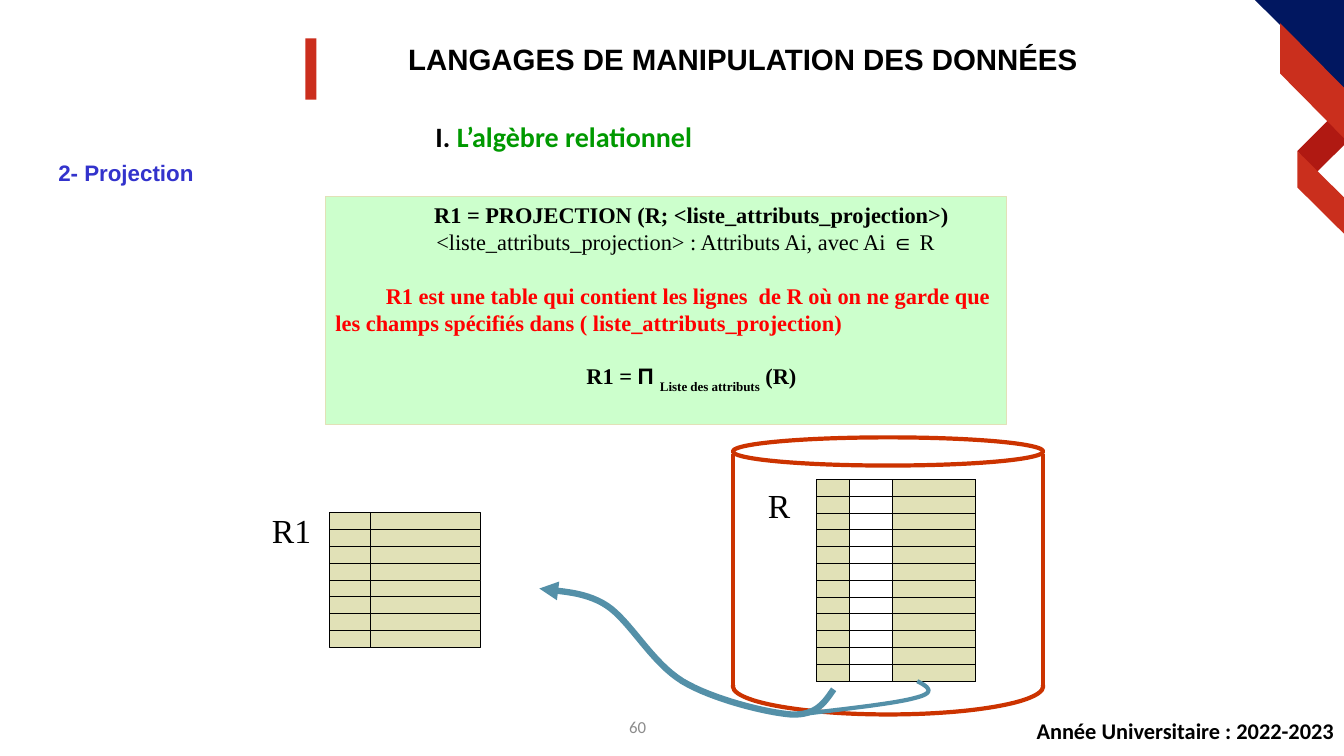
from itertools import accumulate

from lxml.etree import SubElement
from pptx import Presentation
from pptx.dml.color import RGBColor
from pptx.enum.shapes import MSO_CONNECTOR, MSO_SHAPE
from pptx.enum.text import MSO_ANCHOR, PP_ALIGN
from pptx.oxml.ns import qn
from pptx.util import Inches, Pt

COLUMNS = 80
SLIDE_WIDTH = Inches(13.33)
SLIDE_HEIGHT = Inches(7.5)
BLACK, WHITE, RED = "000000", "FFFFFF", "CA2F1D"
OLIVE, RUST, TEAL = "E1E1B7", "CC3300", "5490A8"
SERIF = "Times New Roman"
CURVE_STEPS = 16

RIBBONS = [
    ("B01912", [(79.14, 7.08), (80, 8.1), (80, 8.64), (78.3, 10.32), (77.22, 9)]),
    ("011760", [(74.7, 0), (80, 0), (80, 5.28)]),
    (RED, [(77.22, 9), (80, 11.76), (80, 13.92), (77.22, 11.16)]),
    (RED, [(76.2, 1.38), (80, 5.22), (80, 8.22), (76.2, 4.38)]),
]
ARROW_CURVE = [
    (49.62, 41.04), (49.08, 41.82), (48.6, 42.6), (47.1, 42.54),
    (45.6, 42.42), (42.42, 41.64), (40.62, 40.56),
    (38.76, 39.42), (37.5, 36.96), (36.12, 36.06),
    (34.68, 35.1), (32.76, 35.22), (32.1, 35.04),
]
BRANCH_CURVE = [
    (54.6, 40.56), (55.2, 40.86), (55.74, 41.22), (54.6, 41.52),
    (53.4, 41.88), (50.52, 42.18), (47.58, 42.54),
]


def grid(cells):
    return round(cells * SLIDE_WIDTH / COLUMNS)


def color(hex_value):
    return RGBColor.from_string(hex_value)


def paint(shape, fill=None, line=None, width=0.75):
    shape.shadow.inherit = False
    if fill:
        shape.fill.solid()
        shape.fill.fore_color.rgb = color(fill)
    else:
        shape.fill.background()
    if line:
        shape.line.color.rgb = color(line)
        shape.line.width = Pt(width)
    else:
        shape.line.fill.background()
    return shape


def add_box(slide, box, kind=MSO_SHAPE.RECTANGLE, **style):
    return paint(slide.shapes.add_shape(kind, *map(grid, box)), **style)


def add_line(slide, x, top, bottom, line, width):
    connector = slide.shapes.add_connector(
        MSO_CONNECTOR.STRAIGHT, grid(x), grid(top), grid(x), grid(bottom))
    connector.line.color.rgb = color(line)
    connector.line.width = Pt(width)
    SubElement(connector._element.spPr, qn("a:effectLst"))


def add_outline(slide, points, close, **style):
    corners = [(grid(x), grid(y)) for x, y in points]
    builder = slide.shapes.build_freeform(*corners[0])
    builder.add_line_segments(corners[1:], close=close)
    return paint(builder.convert_to_shape(), **style)


def bezier_points(controls):
    points = [controls[0]]
    for start in range(0, len(controls) - 1, 3):
        piece = controls[start:start + 4]
        for step in range(1, CURVE_STEPS + 1):
            t = step / CURVE_STEPS
            weights = ((1 - t) ** 3, 3 * t * (1 - t) ** 2, 3 * t * t * (1 - t), t ** 3)
            points.append(tuple(
                sum(w * p[axis] for w, p in zip(weights, piece)) for axis in (0, 1)))
    return points


def add_curve(slide, controls, width):
    return add_outline(slide, bezier_points(controls), False, line=TEAL, width=width)


def add_run(paragraph, text, size, font, ink=BLACK, bold=False):
    run = paragraph.add_run()
    run.text = text
    run.font.size = Pt(size)
    run.font.name = font
    run.font.bold = bold
    run.font.color.rgb = color(ink)
    return run


def place(shape, box):
    shape.left, shape.top, shape.width, shape.height = map(grid, box)


def add_label(slide, box, text, size, font, ink=BLACK, bold=False,
              align=PP_ALIGN.LEFT, anchor=MSO_ANCHOR.MIDDLE):
    frame = slide.shapes.add_textbox(*map(grid, box)).text_frame
    frame.word_wrap = True
    frame.vertical_anchor = anchor
    frame.paragraphs[0].alignment = align
    add_run(frame.paragraphs[0], text, size, font, ink, bold)


def add_headings(slide):
    title, body = slide.placeholders
    place(title, (20.52, 2.4, 47.4, 3.9))
    title.text_frame.vertical_anchor = MSO_ANCHOR.TOP
    paragraph = title.text_frame.paragraphs[0]
    paragraph.alignment = PP_ALIGN.CENTER
    paragraph.line_spacing = 0.9
    add_run(paragraph, "LANGAGES DE MANIPULATION DES DONNÉES", 21, "Arial", bold=True)

    place(body, (25.32, 7, 30, 2.2))
    body.text_frame.vertical_anchor = MSO_ANCHOR.MIDDLE
    paragraph = body.text_frame.paragraphs[0]
    paragraph.space_before = Pt(0)
    properties = paragraph._p.get_or_add_pPr()
    properties.set("marL", "0")
    properties.set("indent", "0")
    SubElement(properties, qn("a:buNone"))
    add_run(paragraph, "I. ", 20, "Calibri", bold=True)
    add_run(paragraph, "L’algèbre relationnel", 20, "Calibri", "009900", True)


def add_definition(slide):
    panel = add_box(slide, (19.38, 11.7, 40.56, 13.56), fill="CCFFCC", line=OLIVE)
    frame = panel.text_frame
    frame.word_wrap = True
    frame.vertical_anchor = MSO_ANCHOR.TOP
    center, left = PP_ALIGN.CENTER, PP_ALIGN.LEFT
    paragraphs = [
        (center, 3, 0, [("R1 = PROJECTION (R; <liste_attributs_projection>)", SERIF, BLACK, True)]),
        (left, 6, 0, [("<liste_attributs_projection> : Attributs Ai, avec Ai ", SERIF, BLACK, False),
                      ("∈", "Arial", BLACK, False), (" R", SERIF, BLACK, False)]),
        (left, 3, 19, [("R1 est une table qui contient les lignes  de R où on ne garde que "
                        "les champs spécifiés dans ( liste_attributs_projection)",
                        SERIF, "FF0000", True)]),
        (center, 3, 19, [("R1 = ", SERIF, BLACK, True), ("Π ", "Arial", BLACK, True),
                         ("Liste des attributs", SERIF, BLACK, True),
                         (" (R)", SERIF, BLACK, True)]),
    ]
    for index, (align, indent, gap, runs) in enumerate(paragraphs):
        paragraph = frame.add_paragraph() if index else frame.paragraphs[0]
        paragraph.alignment = align
        paragraph.space_before = Pt(gap)
        paragraph._p.get_or_add_pPr().set("indent", str(grid(indent)))
        for text, font, ink, bold in runs:
            add_run(paragraph, text, 16, font, ink, bold)
    subscript = frame.paragraphs[-1].runs[2]
    subscript.font._element.set("baseline", "-30000")


def add_cylinder(slide):
    left, width = 43.62, 18.48
    rim = {"kind": MSO_SHAPE.OVAL, "fill": WHITE, "line": RUST, "width": 3}
    add_box(slide, (left, 39.18, width, 3.36), **rim)
    add_box(slide, (left, 38.46, width, 2.34), fill=WHITE)
    add_box(slide, (left, 26.04, width, 1.68), **rim)
    for x in (left, left + width):
        add_line(slide, x, 27.06, 40.86, RUST, 3)


def add_relation(slide, left, top, widths, rows, column_fills=(), row_fill=None):
    edges = list(accumulate(widths, initial=left))
    for x, width, fill in zip(edges, widths, column_fills):
        if fill:
            add_box(slide, (x, top, width, rows), fill=fill, line=BLACK)
    for row in range(rows):
        y = top + row
        add_box(slide, (left, y, sum(widths), 1), fill=row_fill, line=BLACK)
        for x in edges[1:-1]:
            add_line(slide, x, y, y + 1, BLACK, 0.75)


def main():
    presentation = Presentation()
    presentation.slide_width = SLIDE_WIDTH
    presentation.slide_height = SLIDE_HEIGHT
    slide = presentation.slides.add_slide(presentation.slide_layouts[1])

    for fill, points in RIBBONS:
        add_outline(slide, points, True, fill=fill)
    add_box(slide, (18.18, 2.28, 0.66, 3.66), fill="CB2E1D")
    add_headings(slide)
    add_label(slide, (2.88, 9.2, 18, 2.2), "2- Projection", 16, "Arial", "3333CC", True)
    add_definition(slide)

    add_cylinder(slide)
    add_relation(slide, 48.6, 28.55, (1.98, 2.52, 4.98), 12, (OLIVE, None, OLIVE))
    arrow = add_curve(slide, ARROW_CURVE, 4.5)
    SubElement(arrow.line._get_or_add_ln(), qn("a:tailEnd"), type="triangle")
    add_relation(slide, 19.62, 30.54, (2.46, 6.54), 8, row_fill=OLIVE)
    add_curve(slide, BRANCH_CURVE, 3)

    for text, x, y in (("R1", 15.6, 30.06), ("R", 45.12, 28.56)):
        add_label(slide, (x, y, 4, 3), text, 24, SERIF, anchor=MSO_ANCHOR.TOP)
    add_label(slide, (21.06, 42.06, 18, 2.4), "60", 12, "Calibri", "8C8C8C",
              align=PP_ALIGN.RIGHT)
    add_label(slide, (56, 42.4, 24, 2.2), "Année Universitaire : 2022-2023", 16,
              "Calibri", bold=True, align=PP_ALIGN.RIGHT)
    presentation.save("out.pptx")


if __name__ == "__main__":
    main()
